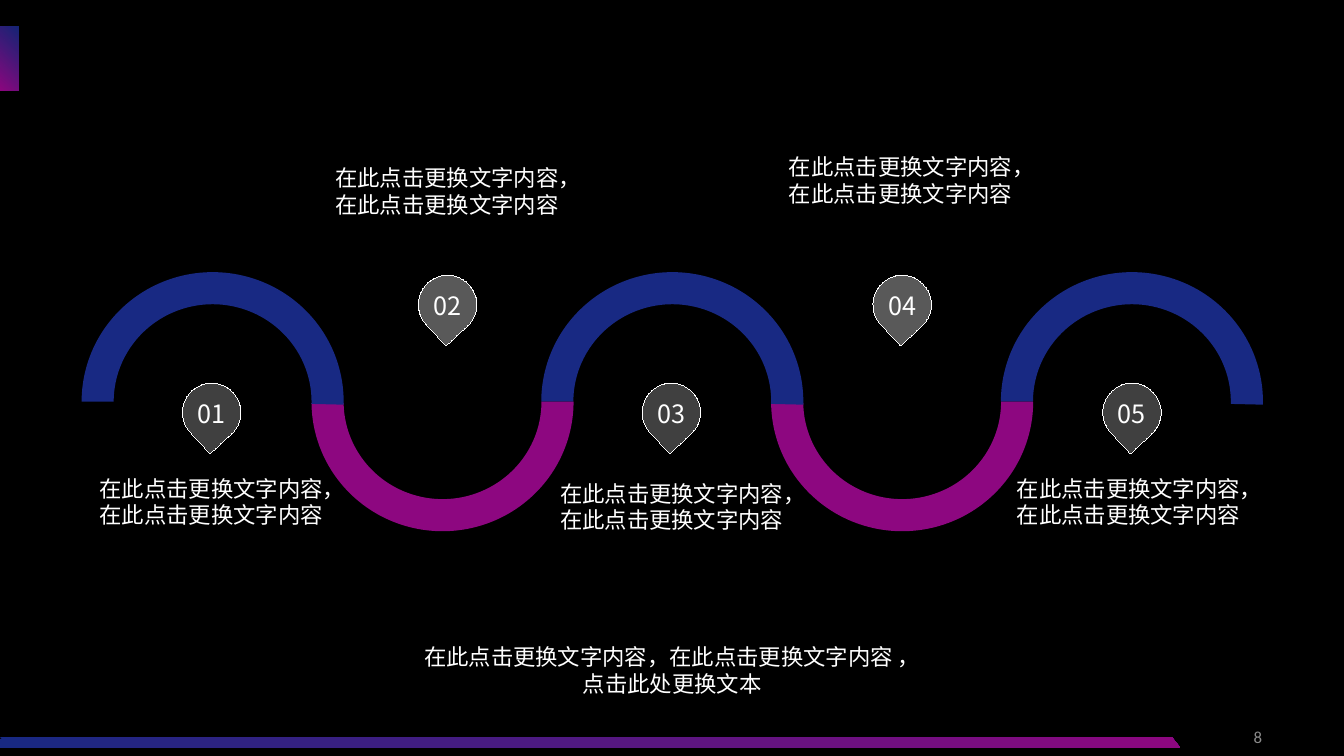
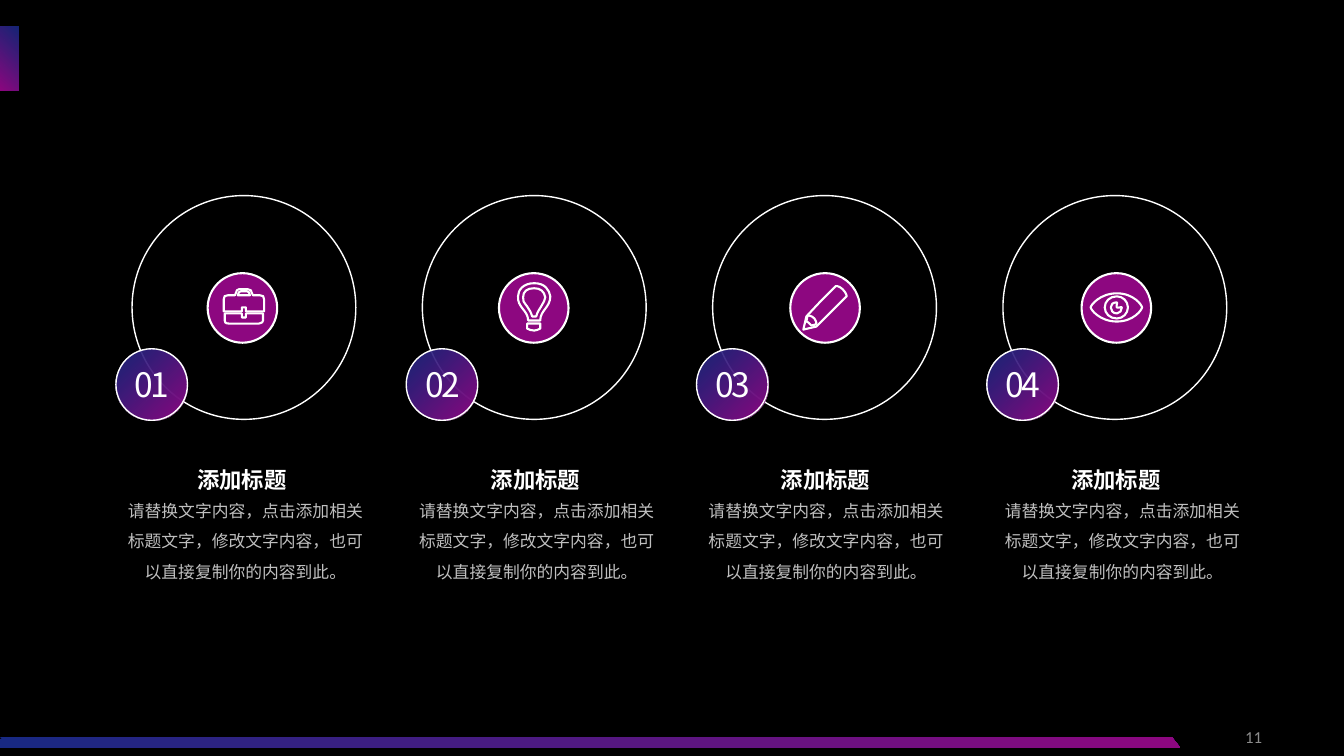
from lxml.etree import SubElement as Sub
from pptx import Presentation
from pptx.dml.color import RGBColor as RGB
from pptx.enum.shapes import MSO_SHAPE as Geo
from pptx.enum.text import MSO_ANCHOR as Anchor, MSO_AUTO_SIZE as Auto, PP_ALIGN as Align
from pptx.oxml.ns import qn
from pptx.util import Inches, Pt

BLACK = RGB(0x00, 0x00, 0x00)
WHITE = RGB(0xFF, 0xFF, 0xFF)
NAVY = RGB(0x18, 0x29, 0x83)
PLUM = RGB(0x8D, 0x07, 0x80)
DARK = RGB(0x40, 0x40, 0x40)
MID = RGB(0x59, 0x59, 0x59)
PALE = RGB(0xBF, 0xBF, 0xBF)
GREY = RGB(0x8C, 0x8C, 0x8C)
SANS = "Noto Sans CJK SC"

NOTE = "在此点击更换文字内容，在此点击更换文字内容"
CLOSE = "在此点击更换文字内容，在此点击更换文字内容 ，点击此处更换文本"
HEAD = "添加标题"
BODY = "请替换文字内容，点击添加相关标题文字，修改文字内容，也可以直接复制你的内容到此。"

STEPS = [
    ("01", 1.81, (0.79, 4.66)),
    ("02", 4.15, (3.13, 1.58)),
    ("03", 6.37, (5.36, 4.71)),
    ("04", 8.66, (7.63, 1.47)),
    ("05", 10.94, (9.89, 4.66)),
]

CASE = [
    [(18, 18), (22, 18), (22, 22), (40, 22), (40, 22, 40, 13, 40, 10),
     (40, 7, 39, 6, 36, 6), (29, 6), (28, 4, 27, 2, 27, 1), (26, 0, 26, 0, 24, 0),
     (15, 0), (14, 0, 14, 0, 13, 1), (13, 2, 12, 4, 11, 6), (4, 6),
     (1, 6, 0, 7, 0, 10), (0, 13, 0, 22, 0, 22), (18, 22)],
    [(15, 3), (16, 3, 16, 2, 17, 2), (23, 2), (24, 2, 24, 3, 25, 3),
     (25, 4, 25, 5, 26, 6), (14, 6), (14, 5, 15, 4, 15, 3)],
    [(22, 28), (18, 28), (18, 24), (1, 24), (1, 24, 1, 28, 1, 31),
     (1, 32, 1, 34, 5, 34), (35, 34), (38, 34, 39, 32, 39, 31),
     (39, 28, 39, 24, 39, 24), (22, 24)],
]
BULB = [
    [(10, 45), (12, 46, 14, 47, 17, 47), (19, 47, 21, 46, 23, 45), (23, 40), (10, 40)],
    [(23, 37), (23, 27, 33, 24, 33, 13), (32, 7, 28, 0, 17, 0),
     (6, 0, 1, 7, 1, 13), (0, 24, 11, 27, 11, 37)],
    [(6, 14), (6, 8, 10, 5, 17, 5), (23, 5, 27, 8, 28, 14), (28, 17, 26, 19, 24, 23),
     (22, 26, 20, 29, 19, 33), (15, 33), (14, 29, 12, 26, 10, 23), (7, 19, 5, 17, 6, 14)],
]
PENCIL = [
    [(39, 4), (35, 0, 32, 1, 32, 1), (18, 15), (3, 31), (0, 44), (13, 41),
     (29, 25), (43, 11), (43, 11, 43, 8, 39, 4)],
    [(12, 39), (8, 40), (7, 39, 7, 39, 6, 38), (5, 37, 4, 36, 3, 36), (4, 31),
     (5, 30), (5, 30, 8, 30, 11, 33), (13, 36, 13, 38, 13, 38)],
]
EYE = [
    [(26, 0), (9, 0, 0, 12, 0, 14), (0, 16, 9, 28, 26, 28),
     (43, 28, 51, 16, 51, 14), (51, 12, 43, 0, 26, 0)],
    [(26, 25), (19, 25, 14, 20, 14, 14), (14, 8, 19, 3, 26, 3),
     (32, 3, 37, 8, 37, 14), (37, 20, 32, 25, 26, 25)],
    [(26, 14), (25, 13, 27, 9, 26, 9), (22, 9, 20, 11, 20, 14),
     (20, 17, 22, 20, 26, 20), (29, 20, 31, 17, 31, 14), (31, 13, 27, 15, 26, 14)],
]

CARDS = [
    ("01", 1.86, 1.14, CASE, (2.22, 2.87)),
    ("02", 4.77, 4.03, BULB, (5.13, 2.81)),
    ("03", 7.65, 6.9, PENCIL, (7.97, 2.83)),
    ("04", 10.53, 9.84, EYE, (10.82, 2.91)),
]


def paint(shape, fill=None, line=None, width=1):
    shape.shadow.inherit = False
    if fill is None:
        shape.fill.background()
    else:
        shape.fill.solid()
        shape.fill.fore_color.rgb = fill
    if line is None:
        shape.line.fill.background()
    else:
        shape.line.color.rgb = line
        shape.element.spPr.find(qn("a:ln")).set("w", str(int(Pt(width))))


def draw(slide, geo, box, fill=None, line=None, width=1):
    shape = slide.shapes.add_shape(geo, *map(Inches, box))
    paint(shape, fill, line, width)
    return shape


def blend(shape, angle, alpha=100):
    shape.fill.gradient()
    shape.fill.gradient_angle = angle
    for stop, color in zip(shape.fill.gradient_stops, (NAVY, PLUM)):
        stop.color.rgb = color
    if alpha < 100:
        first = shape.element.spPr.find(".//" + qn("a:srgbClr"))
        Sub(first, qn("a:alpha"), val=str(alpha * 1000))


def write(slide, box, words, size, color=WHITE, align=Align.CENTER, wrap=True,
          face=SANS, bold=False, space=None, track=0, grow=True):
    frame = slide.shapes.add_textbox(*map(Inches, box)).text_frame
    frame.word_wrap = wrap
    if grow:
        frame.auto_size = Auto.SHAPE_TO_FIT_TEXT
    else:
        frame.vertical_anchor = Anchor.MIDDLE
    para = frame.paragraphs[0]
    para.alignment = align
    if space:
        para.line_spacing = space
    run = para.add_run()
    run.text = words
    font = run.font
    font.name, font.size, font.bold = face, Pt(size), bold
    font.color.rgb = color
    props = para._p.find(".//" + qn("a:rPr"))
    Sub(props, qn("a:ea"), typeface=face)
    if track:
        props.set("spc", str(track * 100))
    return frame


def icon(slide, lines, left, top):
    pen = None
    for outline in lines:
        dots = [(Inches(left + part[i] / 100), Inches(top + part[i + 1] / 100))
                for part in outline for i in range(0, len(part), 2)]
        if pen is None:
            pen = slide.shapes.build_freeform(*dots[0])
        else:
            pen.move_to(*dots[0])
        pen.add_line_segments(dots[1:], close=True)
    shape = pen.convert_to_shape()
    paint(shape, line=WHITE, width=1.5)
    track = shape.element.spPr.find(".//" + qn("a:path"))
    nodes = iter(track.findall(qn("a:lnTo")))
    for part in (part for outline in lines for part in outline[1:]):
        curve = next(nodes)
        if len(part) == 6:
            curve_end = [next(nodes), next(nodes)]
            bend = Sub(track, qn("a:cubicBezTo"))
            curve.addprevious(bend)
            for node in (curve, *curve_end):
                bend.append(node[0])
                track.remove(node)


def theme(slide):
    layout = slide.slide_layout
    layout.background.fill.solid()
    layout.background.fill.fore_color.rgb = BLACK
    tab = draw(slide, Geo.RECTANGLE, (0, 0.26, 0.18, 0.64))
    blend(tab, 225, 90)
    bar = draw(slide, Geo.PARALLELOGRAM, (0, 7.31, 11.71, 0.11))
    bar.adjustments[0] = 0.775
    bar.element.spPr.xfrm.set("flipH", "1")
    blend(bar, 180)
    end = draw(slide, Geo.RECTANGLE, (0, 7.33, 0.19, 0.09), NAVY)
    for shape in (tab, bar, end):
        layout.shapes.element.append(shape.element)


def number(slide, page):
    write(slide, (9.62, 7.11, 3, 0.4), page, 12, GREY, Align.RIGHT,
          face="Calibri", grow=False)


def wave(slide):
    for n in reversed(range(len(STEPS))):
        low = n % 2
        arc = draw(slide, Geo.BLOCK_ARC, (0.81 + 2.28 * n, 2.7, 2.6, 2.57),
                   PLUM if low else NAVY)
        for i, value in enumerate((108, 215.63 if low else 0.787, 0.124)):
            arc.adjustments[i] = value
        arc.rotation = 180 * low
    for n, (label, left, place) in enumerate(STEPS):
        high = n % 2
        top = 2.73 if high else 3.8
        pin = draw(slide, Geo.TEAR, (left, top, 0.58, 0.58), MID if high else DARK, WHITE, 0)
        pin.rotation = 137.1
        write(slide, (left + 0.04, top + 0.1, 0.5, 0.4), label, 18, wrap=False)
        write(slide, (*place, 2.61, 0.91), NOTE, 16)
    write(slide, (4.01, 6.33, 5.32, 0.64), CLOSE, 16)


def cards(slide):
    for n, (label, head, body, lines, place) in enumerate(CARDS):
        left = 1.31 + 2.88 * n
        write(slide, (head, 4.51, 1.1, 0.41), HEAD, 16, align=Align.LEFT,
              wrap=False, bold=True, space=Pt(24))
        write(slide, (body, 4.82, 2.59, 1.01), BODY, 12, PALE, space=1.5)
        draw(slide, Geo.OVAL, (left, 1.94, 2.22, 2.22), line=WHITE)
        badge = draw(slide, Geo.OVAL, (left - 0.16, 3.46, 0.71, 0.71), line=WHITE)
        blend(badge, 315, 90)
        frame = write(slide, (left - 0.06, 3.57, 0.52, 0.49), label, 24,
                      wrap=False, track=-2)
        frame.margin_left = frame.margin_right = Inches(0.05)
        frame.margin_top = frame.margin_bottom = Inches(0.04)
        draw(slide, Geo.OVAL, (2.06 + 2.89 * n, 2.71, 0.69, 0.69), PLUM, WHITE, 1.5)
        icon(slide, lines, *place)


def main():
    deck = Presentation()
    deck.slide_width, deck.slide_height = Inches(40 / 3), Inches(7.5)
    blank = deck.slide_layouts[6]
    for page, build in (("8", wave), ("11", cards)):
        slide = deck.slides.add_slide(blank)
        if build is wave:
            theme(slide)
        number(slide, page)
        build(slide)
    deck.save("out.pptx")


if __name__ == "__main__":
    main()
